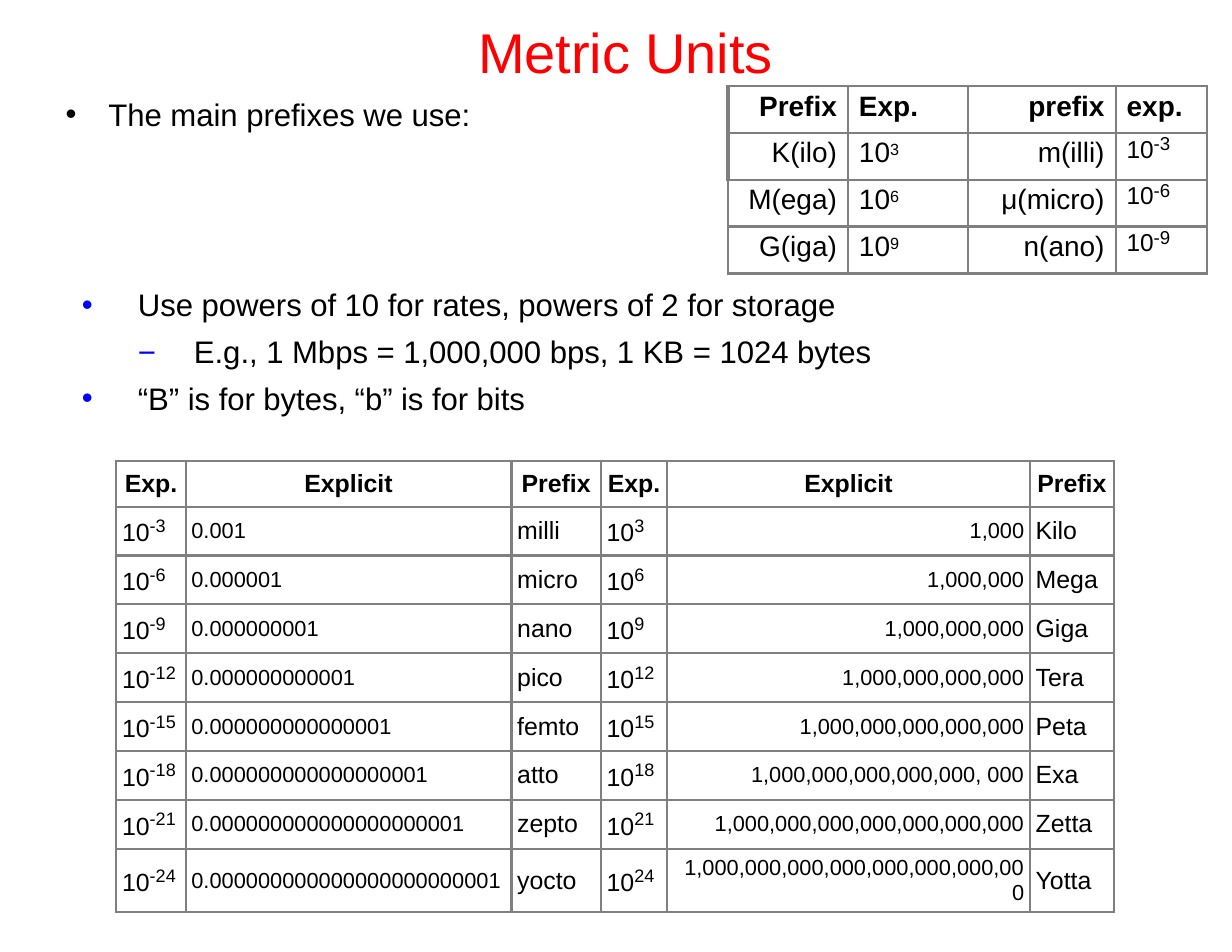
import pptx
import pptx.dml.color
import pptx.enum.text
import pptx.oxml
import pptx.oxml.ns
import pptx.util

Cm = pptx.util.Cm
Pt = pptx.util.Pt
RGBColor = pptx.dml.color.RGBColor
Align = pptx.enum.text.PP_ALIGN
Anchor = pptx.enum.text.MSO_ANCHOR

RED = RGBColor(0xFF, 0x00, 0x00)
BLUE = RGBColor(0x00, 0x00, 0xFF)
BLACK = RGBColor(0x00, 0x00, 0x00)
GREY = RGBColor(0x7F, 0x7F, 0x7F)
MID_GREY = RGBColor(0x80, 0x80, 0x80)
FONT = "Arial"

TITLE = "Metric Units"
INTRO = "The main prefixes we use:"
# (bulleted, text)
NOTES = [
    (True, "Use powers of 10 for rates, powers of 2 for storage"),
    (False, "−\tE.g., 1 Mbps = 1,000,000 bps, 1 KB = 1024 bytes"),
    (True, "“B” is for bytes, “b” is for bits"),
]

MAIN_HEADER = ["Prefix", "Exp.", "prefix", "exp."]
MAIN_PREFIXES = [("K(ilo)", "m(illi)"), ("M(ega)", "μ(micro)"), ("G(iga)", "n(ano)")]
MAIN_WIDTHS = [2.72, 2.72, 3.35, 2.08]

FULL_HEADER = ["Exp.", "Explicit", "Prefix"] * 2
# (small prefix, large prefix, large number)
FULL_PREFIXES = [
    ("milli", "Kilo", "1,000"),
    ("micro", "Mega", "1,000,000"),
    ("nano", "Giga", "1,000,000,000"),
    ("pico", "Tera", "1,000,000,000,000"),
    ("femto", "Peta", "1,000,000,000,000,000"),
    ("atto", "Exa", "1,000,000,000,000,000, 000"),
    ("zepto", "Zetta", "1,000,000,000,000,000,000,000"),
    ("yocto", "Yotta", "1,000,000,000,000,000,000,000,000"),
]
FULL_WIDTHS = [1.57, 7.39, 2.03, 1.5, 8.23, 1.9]


def add_xml(parent, tag, content="", **attributes):
    values = "".join(f' {name}="{value}"' for name, value in attributes.items())
    namespace = pptx.oxml.ns.nsdecls("a")
    parent.append(pptx.oxml.parse_xml(f"<a:{tag} {namespace}{values}>{content}</a:{tag}>"))


def add_run(paragraph, text, size, color=BLACK, bold=False, baseline=0, spacing=0):
    run = paragraph.add_run()
    run.text = text
    run.font.name = FONT
    run.font.size = Pt(size)
    run.font.bold = bold
    run.font.color.rgb = color
    properties = run.font._element
    if baseline:
        properties.set("baseline", str(baseline * 1000))
    if spacing:
        properties.set("spc", str(spacing))


def add_text_box(slide, left, top, width, height, inset=0.03, wrap=True):
    frame = slide.shapes.add_textbox(Cm(left), Cm(top), Cm(width), Cm(height)).text_frame
    frame.word_wrap = wrap
    frame.margin_left = frame.margin_right = frame.margin_bottom = 0
    frame.margin_top = Cm(inset)
    return frame


def indent(paragraph, margin, first=0.0):
    properties = paragraph._p.get_or_add_pPr()
    properties.set("marL", str(Cm(margin)))
    properties.set("indent", str(Cm(first)))
    return properties


def add_bullet(properties, color):
    add_xml(properties, "buClr", f'<a:srgbClr val="{color}"/>')
    add_xml(properties, "buFont", typeface=FONT)
    add_xml(properties, "buChar", char="•")


def add_table(slide, left, top, widths, row_height, row_count):
    frame = slide.shapes.add_table(row_count, len(widths), Cm(left), Cm(top),
                                   Cm(sum(widths)), Cm(row_height * row_count))
    table = frame.table
    table.first_row = table.horz_banding = False
    for column, width in zip(table.columns, widths):
        column.width = Cm(width)
    for row in table.rows:
        row.height = Cm(row_height)
    return table


def style_cell(cell, side_margin, end_margin, color, thick_sides=""):
    """Set margins, borders (the sides named in thick_sides are heavier) and no fill."""
    cell.margin_left = cell.margin_right = Cm(side_margin)
    cell.margin_top, cell.margin_bottom = Cm(end_margin[0]), Cm(end_margin[1])
    properties = cell._tc.get_or_add_tcPr()
    for side in "LRTB":
        add_xml(properties, f"ln{side}",
                f'<a:solidFill><a:srgbClr val="{color}"/></a:solidFill>',
                w=Pt(2.25 if side in thick_sides else 1.5))
    cell.fill.background()


def add_main_table(slide):
    rows = [MAIN_HEADER]
    for step, (large, small) in enumerate(MAIN_PREFIXES, 1):
        rows.append([large, str(3 * step), small, str(-3 * step)])
    thick = ["L", "L", "B", "TB"]
    table = add_table(slide, 16.51, 1.96, MAIN_WIDTHS, 1.06, len(rows))
    for r, row in enumerate(rows):
        for c, text in enumerate(row):
            cell = table.cell(r, c)
            sides = thick[r] if c == 0 else thick[r].replace("L", "")
            negative = r > 0 and c == 3
            style_cell(cell, 0.25, (0 if negative else 0.1, 0), GREY, sides)
            paragraph = cell.text_frame.paragraphs[0]
            if c % 2 == 0:
                paragraph.alignment = Align.RIGHT
            if negative:
                paragraph.line_spacing = Pt(19.3)
                add_run(paragraph, "10", 27, baseline=-17)
                add_run(paragraph, text, 12)
            elif r > 0 and c == 1:
                add_run(paragraph, "10", 18)
                add_run(paragraph, text, 18, baseline=25)
            else:
                add_run(paragraph, text, 18, bold=r == 0)


def add_full_table(slide):
    rows = [FULL_HEADER]
    for step, (small, large, number) in enumerate(FULL_PREFIXES, 1):
        power = 3 * step
        fraction = "0." + "0" * (power - 1) + "1"
        rows.append([str(-power), fraction, small, str(power), number, large])
    table = add_table(slide, 2.64, 10.45, FULL_WIDTHS, 1.04, len(rows))
    for r, row in enumerate(rows):
        for c, text in enumerate(row):
            cell = table.cell(r, c)
            style_cell(cell, 0.13, (0.13, 0.13), MID_GREY)
            cell.vertical_anchor = Anchor.MIDDLE
            paragraph = cell.text_frame.paragraphs[0]
            if r == 0:
                paragraph.alignment = Align.CENTER
                add_run(paragraph, text, 16, bold=True)
            elif c % 3 == 0:
                add_run(paragraph, "10", 16)
                add_run(paragraph, text, 20, baseline=30)
            else:
                if c == 4:
                    paragraph.alignment = Align.RIGHT
                add_run(paragraph, text, 14 if c % 3 == 1 else 16)


def add_notes(slide):
    frame = add_text_box(slide, 1.83, 6.2, 23.7, 3.2, inset=0.28)
    for index, (bulleted, text) in enumerate(NOTES):
        paragraph = frame.add_paragraph() if index else frame.paragraphs[0]
        if index:
            paragraph.space_before = Pt(6)
        if bulleted:
            add_bullet(indent(paragraph, 1.3, -1.27), BLUE)
            add_run(paragraph, text, 20, spacing=-5)
        else:
            properties = indent(paragraph, 1.3)
            add_xml(properties, "tabLst", f'<a:tab pos="{Cm(2.26)}" algn="l"/>')
            dash, sentence = text.split("\t")
            add_run(paragraph, dash + "\t", 20, BLUE)
            add_run(paragraph, sentence, 20, spacing=-5)


def main():
    presentation = pptx.Presentation()
    presentation.slide_width, presentation.slide_height = Cm(27.94), Cm(21.59)
    slide = presentation.slides.add_slide(presentation.slide_layouts[6])

    title = add_text_box(slide, 10.85, 0.36, 6.76, 1.6, wrap=False)
    add_run(title.paragraphs[0], TITLE, 36, RED, spacing=-5)

    intro = add_text_box(slide, 1.47, 2.13, 13.77, 0.89).paragraphs[0]
    add_bullet(indent(intro, 0.99, -0.97), BLACK)
    add_run(intro, INTRO, 20, spacing=-5)

    add_main_table(slide)
    add_notes(slide)
    add_full_table(slide)
    presentation.save("out.pptx")


if __name__ == "__main__":
    main()
